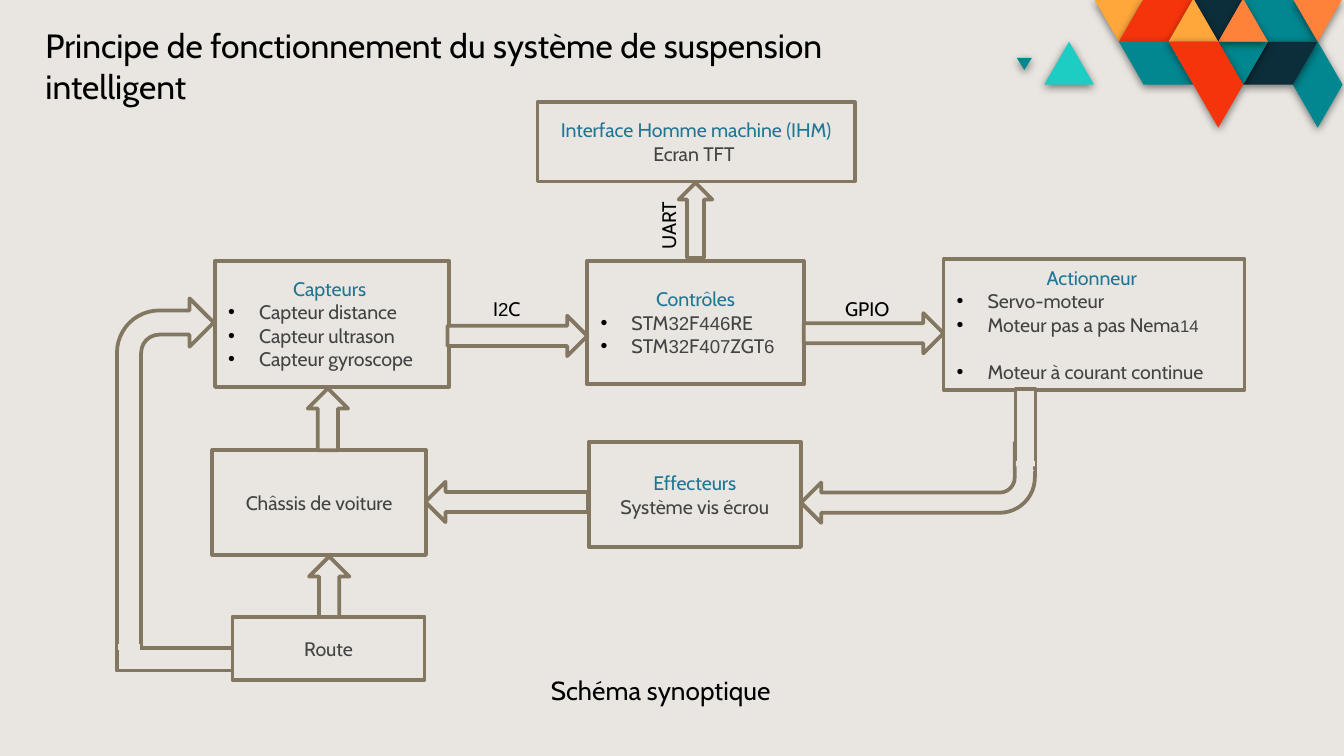
"""Build the block diagram of the smart suspension system."""
from dataclasses import dataclass
from itertools import groupby

from lxml.etree import SubElement
from pptx import Presentation
from pptx.dml.color import RGBColor
from pptx.enum.shapes import MSO_SHAPE as Kind
from pptx.enum.text import MSO_ANCHOR, PP_ALIGN
from pptx.oxml.ns import qn
from pptx.shapes.autoshape import Shape
from pptx.slide import Slide
from pptx.util import Emu, Inches, Pt

WIDE = Inches(10)
HIGH = Emu(WIDE * 9 // 16)
COLS, ROWS = 100, 56.25


@dataclass(frozen=True)
class Theme:
    """Colours, fonts and type sizes."""
    back: str = "E9E6E1"
    edge: str = "847761"
    head: str = "1F7695"
    body: str = "434343"
    ink: str = "000000"
    gold: str = "FFA73B"
    coral: str = "FF823B"
    red: str = "F5340B"
    teal: str = "018790"
    aqua: str = "1DCDC3"
    navy: str = "0C2E3A"
    font: str = "Cabin"
    digit: str = "Arial"
    text: float = 10.5
    number: float = 10
    small: float = 9
    note: float = 14
    title: float = 18


THEME = Theme()


@dataclass(frozen=True)
class Area:
    """Place on the grid, in columns and rows."""
    col: float
    row: float
    wide: float
    high: float
    turn: float = 0

    def frame(self) -> tuple[Emu, Emu, Emu, Emu]:
        """Return left, top, width and height."""
        return (Emu(round(self.col * WIDE / COLS)), Emu(round(self.row * HIGH / ROWS)),
                Emu(round(self.wide * WIDE / COLS)), Emu(round(self.high * HIGH / ROWS)))


@dataclass(frozen=True)
class Line:
    """One paragraph of text."""
    text: str
    tint: str = THEME.body
    size: float = THEME.text
    number: float = THEME.number
    bullet: bool = False
    center: bool = False
    gap: float = 0


@dataclass(frozen=True)
class Box:
    """A framed block with a heading, plain lines and bullets."""
    area: Area
    head: str = ""
    plain: str = ""
    items: tuple[Line, ...] = ()


@dataclass(frozen=True)
class Part:
    """An arrow, a pipe or a patch."""
    kind: Kind
    area: Area
    edged: bool = True


@dataclass(frozen=True)
class Label:
    """Free text on the slide."""
    area: Area
    text: str
    size: float = THEME.text


@dataclass(frozen=True)
class Tile:
    """A polygon whose corners lie on the triangle lattice."""
    tint: str
    points: tuple[tuple[float, float], ...]


def item(text: str, number: float = THEME.number, gap: float = 0) -> Line:
    """Return a bulleted line."""
    return Line(text, number=number, bullet=True, gap=gap)


BOXES = (
    Box(Area(16, 19.4, 17.4, 9.4), "Capteurs ",
        items=(item("Capteur distance"), item("Capteur ultrason"), item("Capteur gyroscope"))),
    Box(Area(43.7, 19.4, 16.1, 9.2), "Contrôles",
        items=(item("STM32F446RE"), item("STM32F407ZGT6"))),
    Box(Area(70.2, 19.3, 22.4, 9.7), "Actionneur ",
        items=(item("Servo-moteur"), item("Moteur pas a pas Nema14", THEME.small),
               item("Moteur à courant continue", gap=12.5))),
    Box(Area(40, 7.6, 23.6, 5.9), "Interface Homme machine (IHM)", "Ecran TFT "),
    Box(Area(17.3, 45.9, 14.3, 4.7), plain="Route"),
    Box(Area(15.8, 33.5, 15.9, 7.8), plain="Châssis de voiture"),
    Box(Area(43.8, 32.9, 15.8, 7.8), "Effecteurs", "Système vis écrou"),
)
PARTS = (
    Part(Kind.UP_ARROW, Area(37, 19.8, 3, 10.4, 90)),
    Part(Kind.UP_ARROW, Area(63.5, 19.6, 3, 10.4, 90)),
    Part(Kind.UP_ARROW, Area(50.5, 13.6, 2.5, 5.6)),
    Part(Kind.UP_ARROW, Area(36.2, 31.3, 3, 12.1, 270)),
    Part(Kind.UP_ARROW, Area(22.9, 28.9, 3, 4.6)),
    Part(Kind.UP_ARROW, Area(23, 41.4, 3, 4.5)),
    Part(Kind.BENT_ARROW, Area(8.7, 22.2, 7.2, 26.9)),
    Part(Kind.FLOWCHART_PROCESS, Area(8.7, 48.2, 8.6, 1.7)),
    Part(Kind.BENT_ARROW, Area(59.6, 32.9, 17.4, 6, 180)),
    Part(Kind.FLOWCHART_PROCESS, Area(73.5, 31, 5.6, 1.5, 90)),
    Part(Kind.MATH_MINUS, Area(8.5, 47.3, 2.2, 1.7), False),
    Part(Kind.MATH_MINUS, Area(75.4, 34.8, 1.8, 0.4), False),
    Part(Kind.RECTANGLE, Area(75.6, 34.3, 1.4, 0.4), False),
)
LABELS = (
    Label(Area(35.7, 21.6, 5.5, 2.8), "I2C"),
    Label(Area(61.9, 21.6, 6.3, 2.8), "GPIO"),
    Label(Area(46.6, 15, 6.3, 2.8, 270), "UART"),
    Label(Area(40, 49.7, 25.8, 3.4), "Schéma synoptique", THEME.note),
    Label(Area(2.4, 1.4, 70, 4),
          "Principe de fonctionnement du système de suspension intelligent", THEME.title),
)
TILES = (
    Tile(THEME.gold, ((0, 0), (1, 1), (2, 0))),
    Tile(THEME.red, ((1, 1), (3, 1), (4, 0), (2, 0))),
    Tile(THEME.teal, ((6, 0), (7, 1), (9, 1), (8, 0))),
    Tile(THEME.coral, ((8, 0), (9, 1), (10, 0))),
    Tile(THEME.navy, ((4, 0), (5, 1), (6, 0))),
    Tile(THEME.teal, ((1, 1), (2, 2), (4, 2), (3, 1))),
    Tile(THEME.teal, ((-3.1, 1.38), (-2.8, 1.66), (-2.5, 1.38))),
    Tile(THEME.aqua, ((-2, 2), (0, 2), (-1, 1))),
    Tile(THEME.teal, ((8, 2), (9, 3), (10, 2), (9, 1))),
    Tile(THEME.navy, ((6, 2), (8, 2), (9, 1), (7, 1))),
    Tile(THEME.teal, ((5, 1), (6, 2), (7, 1))),
    Tile(THEME.coral, ((5, 1), (7, 1), (6, 0))),
    Tile(THEME.gold, ((3, 1), (5, 1), (4, 0))),
    Tile(THEME.red, ((3, 1), (5, 3), (6, 2), (5, 1))),
)


def paint(shape: Shape, tint: str, edged: bool) -> None:
    """Set the fill and the outline, without a shadow."""
    shape.shadow.inherit = False
    shape.fill.solid()
    shape.fill.fore_color.rgb = RGBColor.from_string(tint)
    if edged:
        shape.line.color.rgb = RGBColor.from_string(THEME.edge)
        shape.line.width = Pt(2)
    else:
        shape.line.fill.background()


def write(shape: Shape, lines: list[Line]) -> None:
    """Fill a shape with paragraphs, giving digits their own font."""
    frame = shape.text_frame
    frame.word_wrap = True
    for rank, line in enumerate(lines):
        para = frame.add_paragraph() if rank else frame.paragraphs[0]
        para.alignment = PP_ALIGN.CENTER if line.center else PP_ALIGN.LEFT
        if line.gap:
            para.space_before = Pt(line.gap)
        if line.bullet:
            props = para._p.get_or_add_pPr()
            props.set("marL", str(Inches(0.23)))
            props.set("indent", str(-Inches(0.23)))
            SubElement(SubElement(props, qn("a:buClr")), qn("a:srgbClr"), val=THEME.ink)
            SubElement(props, qn("a:buFont"), typeface=THEME.digit)
            SubElement(props, qn("a:buChar"), char="•")
        para.font.name, para.font.size = THEME.font, Pt(line.size)
        para.font.color.rgb = RGBColor.from_string(line.tint)
        for digit, chars in groupby(line.text, str.isdigit):
            run = para.add_run()
            run.text = "".join(chars)
            if digit:
                run.font.name, run.font.size = THEME.digit, Pt(line.number)


def draw_part(slide: Slide, part: Part) -> Shape:
    """Draw a preset shape in the slide's own colour."""
    shape = slide.shapes.add_shape(part.kind, *part.area.frame())
    shape.rotation = part.area.turn
    paint(shape, THEME.back, part.edged)
    return shape


def draw_box(slide: Slide, box: Box) -> None:
    """Draw a block with its text."""
    shape = draw_part(slide, Part(Kind.RECTANGLE, box.area))
    shape.text_frame.vertical_anchor = MSO_ANCHOR.MIDDLE
    lines = [Line(box.head, THEME.head, center=True), Line(box.plain, center=True), *box.items]
    write(shape, [line for line in lines if line.text])


def draw_label(slide: Slide, label: Label) -> None:
    """Draw free text."""
    shape = slide.shapes.add_textbox(*label.area.frame())
    shape.rotation = label.area.turn
    write(shape, [Line(label.text, THEME.ink, label.size)])


def draw_tile(slide: Slide, tile: Tile) -> None:
    """Draw a lattice polygon with a soft shadow."""
    spots = [(Inches(8.14 + 0.185 * col), Inches(-0.01 + 0.32 * row)) for col, row in tile.points]
    pen = slide.shapes.build_freeform(*spots[0])
    pen.add_line_segments(spots[1:], close=True)
    shape = pen.convert_to_shape()
    paint(shape, tile.tint, False)
    glow = SubElement(shape._element.spPr.find(qn("a:effectLst")), qn("a:outerShdw"),
                      blurRad=str(Pt(4.5)), dist=str(Pt(1.5)), dir="5400000", rotWithShape="0")
    SubElement(SubElement(glow, qn("a:srgbClr"), val=THEME.ink), qn("a:alpha"), val="50000")


def main() -> None:
    """Build and save the slide."""
    deck = Presentation()
    deck.slide_width, deck.slide_height = WIDE, HIGH
    slide = deck.slides.add_slide(deck.slide_layouts[6])
    slide.background.fill.solid()
    slide.background.fill.fore_color.rgb = RGBColor.from_string(THEME.back)
    for draw, group in ((draw_box, BOXES), (draw_part, PARTS),
                        (draw_label, LABELS), (draw_tile, TILES)):
        for entry in group:
            draw(slide, entry)
    deck.save("out.pptx")


if __name__ == "__main__":
    main()
